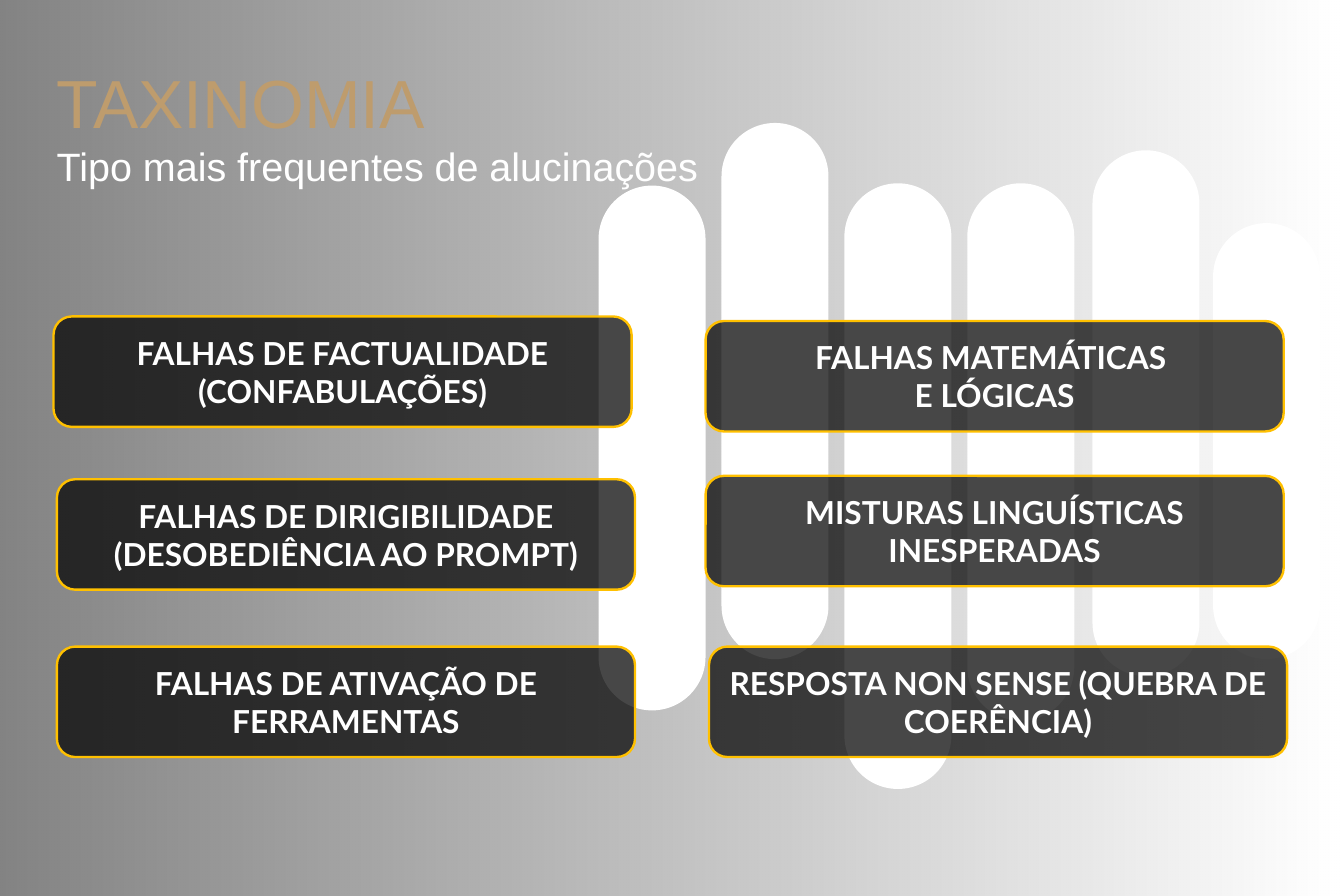
from dataclasses import dataclass

from pptx import Presentation
from pptx import util as u
from pptx.dml import color
from pptx.enum import shapes, text
from pptx.oxml import ns
from pptx.oxml.xmlchemy import OxmlElement


@dataclass(frozen=True)
class Theme:
    black: color.RGBColor = color.RGBColor(0x00, 0x00, 0x00)
    white: color.RGBColor = color.RGBColor(0xFF, 0xFF, 0xFF)
    bronze: color.RGBColor = color.RGBColor(0xBE, 0x9C, 0x6D)
    amber: color.RGBColor = color.RGBColor(0xFF, 0xC0, 0x00)
    heading_font: str = "Arial"
    card_font: str = "Lato"
    title_size: int = 43
    subtitle_size: int = 25
    card_size: int = 20
    outline: float = 1.5


@dataclass(frozen=True)
class Bar:
    left: float
    top: float
    height: float


@dataclass(frozen=True)
class Card:
    left: float
    top: float
    lines: tuple[str, ...]


THEME = Theme()
SLIDE_WIDTH, SLIDE_HEIGHT = 11.81, 7.87
BAR_WIDTH = 0.94
CARD_WIDTH, CARD_HEIGHT = 5.08, 0.97

BARS = (
    Bar(6.34, 1.08, 4.71),
    Bar(7.42, 1.61, 5.32),
    Bar(8.5, 1.61, 4.72),
    Bar(9.6, 1.32, 4.62),
    Bar(10.66, 1.96, 3.83),
    Bar(5.26, 1.63, 4.61),
)
CARDS = (
    Card(0.47, 2.78, ("FALHAS DE FACTUALIDADE", "(CONFABULAÇÕES)")),
    Card(0.5, 4.21, ("FALHAS DE DIRIGIBILIDADE (DESOBEDIÊNCIA AO PROMPT)",)),
    Card(0.5, 5.68, ("FALHAS DE ATIVAÇÃO DE FERRAMENTAS",)),
    Card(6.2, 2.82, ("FALHAS MATEMÁTICAS ", "E LÓGICAS")),
    Card(6.2, 4.18, ("MISTURAS LINGUÍSTICAS INESPERADAS",)),
    Card(6.23, 5.68, ("RESPOSTA NON SENSE (QUEBRA DE COERÊNCIA)",)),
)


def add_plain_shape(page, kind, left: float, top: float, width: float, height: float):
    """Add a preset shape without shadow or outline."""
    shape = page.shapes.add_shape(
        kind, u.Inches(left), u.Inches(top), u.Inches(width), u.Inches(height)
    )
    shape.shadow.inherit = False
    shape.line.fill.background()
    return shape


def set_fill_opacity(shape, *percents: int) -> None:
    """Give each fill colour, in order, its opacity."""
    fill_colors = shape.element.spPr.iter(ns.qn("a:srgbClr"))
    for fill_color, percent in zip(fill_colors, percents):
        alpha = OxmlElement("a:alpha")
        alpha.set("val", str(percent * 1000))
        fill_color.append(alpha)


def add_span(para, words: str, font: str, size: int, ink: color.RGBColor, bold: bool = False) -> None:
    span = para.add_run()
    span.text = words
    span.font.name = font
    span.font.size = u.Pt(size)
    span.font.bold = bold
    span.font.color.rgb = ink


def add_background(page) -> None:
    shade = add_plain_shape(
        page, shapes.MSO_SHAPE.RECTANGLE, 0, 0, SLIDE_WIDTH, SLIDE_HEIGHT
    )
    shade.fill.gradient()
    shade.fill.gradient_angle = 0
    for stop in shade.fill.gradient_stops:
        stop.color.rgb = THEME.black
    set_fill_opacity(shade, 49, 0)


def add_bar(page, bar: Bar) -> None:
    shape = add_plain_shape(
        page, shapes.MSO_SHAPE.ROUNDED_RECTANGLE, bar.left, bar.top, BAR_WIDTH, bar.height
    )
    shape.adjustments[0] = 0.5
    shape.fill.solid()
    shape.fill.fore_color.rgb = THEME.white


def add_heading(page) -> None:
    box = page.shapes.add_textbox(
        u.Inches(0.4), u.Inches(0.48), u.Inches(7.12), u.Inches(1.25)
    )
    frame = box.text_frame
    frame.word_wrap = True
    add_span(frame.paragraphs[0], "TAXINOMIA",
             THEME.heading_font, THEME.title_size, THEME.bronze)
    add_span(frame.add_paragraph(), "Tipo mais frequentes de alucinações",
             THEME.heading_font, THEME.subtitle_size, THEME.white)


def add_card(page, card: Card) -> None:
    shape = add_plain_shape(
        page, shapes.MSO_SHAPE.FLOWCHART_ALTERNATE_PROCESS,
        card.left, card.top, CARD_WIDTH, CARD_HEIGHT,
    )
    shape.fill.solid()
    shape.fill.fore_color.rgb = THEME.black
    set_fill_opacity(shape, 72)
    shape.line.color.rgb = THEME.amber
    shape.line.width = u.Pt(THEME.outline)
    frame = shape.text_frame
    frame.word_wrap = True
    frame.vertical_anchor = text.MSO_ANCHOR.MIDDLE
    for index, line in enumerate(card.lines):
        para = frame.add_paragraph() if index else frame.paragraphs[0]
        para.alignment = text.PP_ALIGN.CENTER
        add_span(para, line, THEME.card_font, THEME.card_size, THEME.white, bold=True)


def main() -> None:
    deck = Presentation()
    deck.slide_width = u.Inches(SLIDE_WIDTH)
    deck.slide_height = u.Inches(SLIDE_HEIGHT)
    page = deck.slides.add_slide(deck.slide_layouts[6])
    add_background(page)
    for bar in BARS:
        add_bar(page, bar)
    add_heading(page)
    for card in CARDS:
        add_card(page, card)
    deck.save("out.pptx")


if __name__ == "__main__":
    main()
